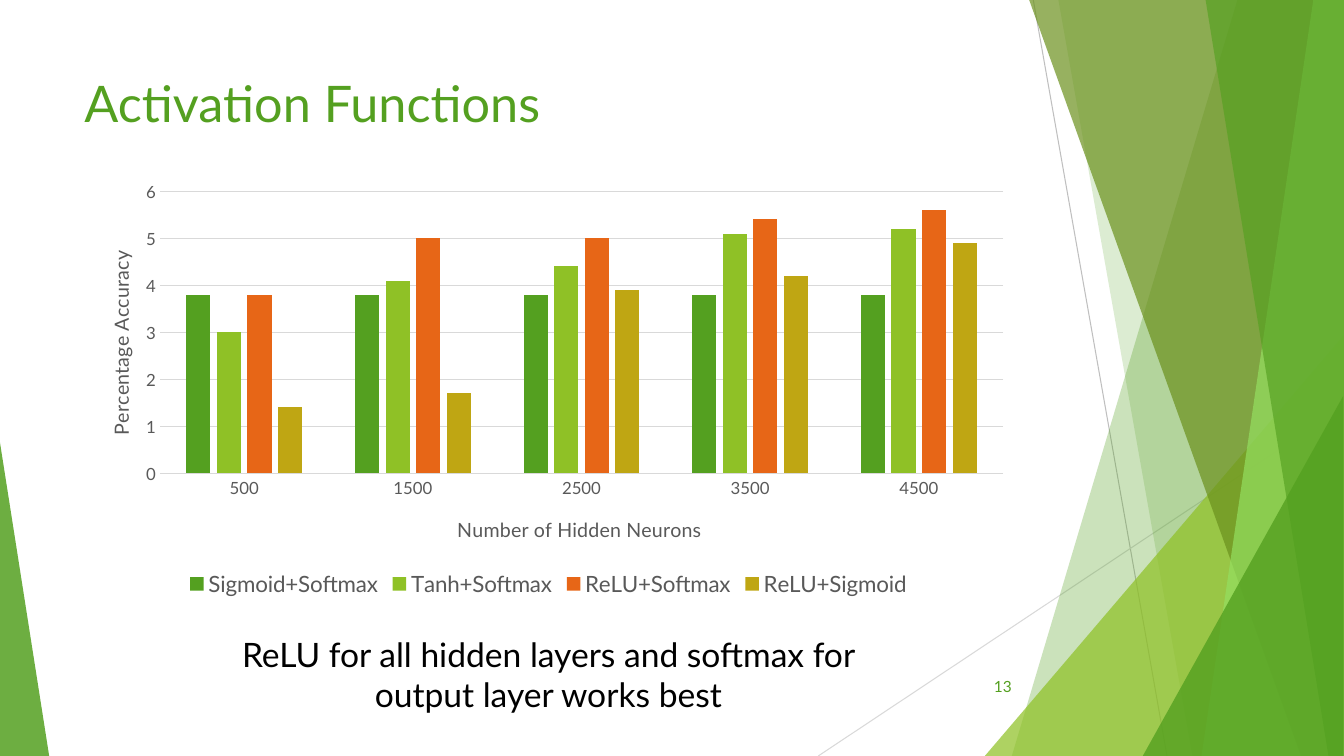
from dataclasses import dataclass

from lxml import etree
from pptx import Presentation
from pptx import util as u
from pptx.chart import data
from pptx.dml import color
from pptx.enum import chart as ce
from pptx.enum import shapes, text
from pptx.oxml import ns

FONT = "Lato"
COLORS = {
    "green": "54A020", "lime": "8FC126", "olive": "6B911D", "mint": "94DF60",
    "orange": "E76617", "gold": "BFA613", "black": "000000", "gray": "595959",
    "rule": "BFBFBF", "grid": "D9D9D9",
}
WIDTH, HEIGHT, TOP = 33.87, 19.05, -0.02


@dataclass
class Line:
    x1: float
    y1: float
    x2: float
    y2: float
    color: str


@dataclass
class Band:
    top_x: float
    bottom_x: float
    color: str
    opacity: int


@dataclass
class Triangle:
    x: float
    y: float
    w: float
    h: float
    apex: float
    color: str
    opacity: int


@dataclass
class Label:
    words: str
    x: float
    y: float
    w: float
    h: float
    size: float
    color: str
    align: text.PP_ALIGN
    anchor: text.MSO_ANCHOR


@dataclass
class Series:
    name: str
    values: tuple[float, ...]
    color: str


LINES = [
    Line(26.04, 0, 29.41, HEIGHT, "rule"),
    Line(WIDTH, 10.24, 20.62, HEIGHT, "grid"),
]
FACETS = [
    Band(31.19, 25.5, "green", 30),
    Band(26.67, 30.05, "green", 20),
    Triangle(24.82, 8.46, 9.04, 10.59, 1, "lime", 72),
    Band(25.93, 32.79, "olive", 70),
    Band(33.1, 30.28, "mint", 70),
    Band(30.38, 33.48, "green", 65),
    Triangle(28.8, 9.98, 5.05, 9.07, 1, "green", 80),
    Triangle(0, 11.15, 1.24, 7.9, 0, "green", 85),
]
LABELS = [
    Label("Activation Functions", 1.88, 1.7, 23.88, 3.66, 36, "green",
          text.PP_ALIGN.LEFT, text.MSO_ANCHOR.TOP),
    Label("13", 23.85, 16.79, 1.9, 1.02, 11, "green",
          text.PP_ALIGN.RIGHT, text.MSO_ANCHOR.MIDDLE),
    Label("ReLU for all hidden layers and softmax for output layer works best",
          5.82, 15.85, 16, 2.31, 24, "black",
          text.PP_ALIGN.CENTER, text.MSO_ANCHOR.TOP),
]
NEURONS = range(500, 5000, 1000)
SERIES = [
    Series("Sigmoid+Softmax", (3.8, 3.8, 3.8, 3.8, 3.8), "green"),
    Series("Tanh+Softmax", (3, 4.1, 4.4, 5.1, 5.2), "lime"),
    Series("ReLU+Softmax", (3.8, 5, 5, 5.4, 5.6), "orange"),
    Series("ReLU+Sigmoid", (1.4, 1.7, 3.9, 4.2, 4.9), "gold"),
]


def rgb(name: str) -> color.RGBColor:
    return color.RGBColor.from_string(COLORS[name])


def style_font(font, size: float, name: str) -> None:
    font.name, font.size, font.bold = FONT, u.Pt(size), False
    font.color.rgb = rgb(name)


def style_line(line, name: str) -> None:
    line.color.rgb = rgb(name)
    line.width = u.Pt(0.75)


def draw_line(s, item: Line) -> None:
    ends = map(u.Cm, (item.x1, item.y1, item.x2, item.y2))
    cx = s.shapes.add_connector(shapes.MSO_CONNECTOR.STRAIGHT, *ends)
    style_line(cx.line, item.color)
    etree.SubElement(cx._element.spPr, ns.qn("a:effectLst"))


def draw_facet(s, item: Band | Triangle) -> None:
    if isinstance(item, Band):
        corners = [(WIDTH, TOP), (WIDTH, HEIGHT), (item.bottom_x, HEIGHT)]
        fb = s.shapes.build_freeform(u.Cm(item.top_x), u.Cm(TOP))
        fb.add_line_segments([(u.Cm(x), u.Cm(y)) for x, y in corners])
        sp = fb.convert_to_shape()
    else:
        box = map(u.Cm, (item.x, item.y, item.w, item.h))
        sp = s.shapes.add_shape(shapes.MSO_SHAPE.ISOSCELES_TRIANGLE, *box)
        sp.adjustments[0] = item.apex
    sp.shadow.inherit = False
    sp.line.fill.background()
    sp.fill.solid()
    sp.fill.fore_color.rgb = rgb(item.color)
    clr = sp._element.spPr.find(".//" + ns.qn("a:srgbClr"))
    etree.SubElement(clr, ns.qn("a:alpha"), val=str(item.opacity * 1000))


def draw_label(s, item: Label) -> None:
    box = map(u.Cm, (item.x, item.y, item.w, item.h))
    tf = s.shapes.add_textbox(*box).text_frame
    tf.word_wrap = True
    tf.vertical_anchor = item.anchor
    p = tf.paragraphs[0]
    p.alignment = item.align
    r = p.add_run()
    r.text = item.words
    style_font(r.font, item.size, item.color)


def place(parent, **fractions: float) -> None:
    layout = parent.find(ns.qn("c:layout"))
    if layout is None:
        layout = etree.Element(ns.qn("c:layout"))
        parent.insert(0, layout)
    manual = etree.SubElement(layout, ns.qn("c:manualLayout"))
    if "w" in fractions:
        etree.SubElement(manual, ns.qn("c:layoutTarget"), val="inner")
    for key in ("x", "y"):
        etree.SubElement(manual, ns.qn(f"c:{key}Mode"), val="edge")
    for key, value in fractions.items():
        etree.SubElement(manual, ns.qn(f"c:{key}"), val=str(value))


def style_axis(axis, title: str, x: float, y: float, turn: int) -> None:
    axis.major_tick_mark = axis.minor_tick_mark = ce.XL_TICK_MARK.NONE
    style_font(axis.tick_labels.font, 12, "gray")
    tf = axis.axis_title.text_frame
    tf._txBody.bodyPr.set("rot", str(turn * 60000))
    r = tf.paragraphs[0].add_run()
    r.text = title
    style_font(r.font, 14, "gray")
    place(axis.axis_title._element, x=x, y=y)


def draw_chart(s) -> None:
    cd = data.CategoryChartData(number_format="General")
    cd.categories = NEURONS
    for item in SERIES:
        cd.add_series(item.name, item.values)
    box = map(u.Cm, (1.88, 4.39, 23.88, 10.77))
    ch = s.shapes.add_chart(ce.XL_CHART_TYPE.COLUMN_CLUSTERED, *box, cd).chart
    ch.has_title = False
    style_font(ch.font, 10.5, "black")
    plot = ch.plots[0]
    plot.vary_by_categories = False
    plot.gap_width, plot.overlap = 219, -27
    for series, item in zip(plot.series, SERIES):
        series.format.fill.solid()
        series.format.fill.fore_color.rgb = rgb(item.color)
    place(ch._chartSpace.chart.plotArea, x=0.09, y=0.04, w=0.89, h=0.66)
    style_axis(ch.category_axis, "Number of Hidden Neurons", 0.4, 0.79, 0)
    style_line(ch.category_axis.format.line, "grid")
    va = ch.value_axis
    style_axis(va, "Percentage Accuracy", 0.03, 0.17, -90)
    va.minimum_scale, va.maximum_scale, va.major_unit = 0, 6, 1
    va.format.line.fill.background()
    style_line(va.major_gridlines.format.line, "grid")
    ch.has_legend = True
    ch.legend.position = ce.XL_LEGEND_POSITION.BOTTOM
    ch.legend.include_in_layout = False
    style_font(ch.legend.font, 16, "gray")


def main() -> None:
    prs = Presentation()
    prs.slide_width, prs.slide_height = u.Cm(WIDTH), u.Cm(HEIGHT)
    s = prs.slides.add_slide(prs.slide_layouts[6])
    for line in LINES:
        draw_line(s, line)
    for facet in FACETS:
        draw_facet(s, facet)
    draw_chart(s)
    for label in LABELS:
        draw_label(s, label)
    prs.save("out.pptx")


if __name__ == "__main__":
    main()
